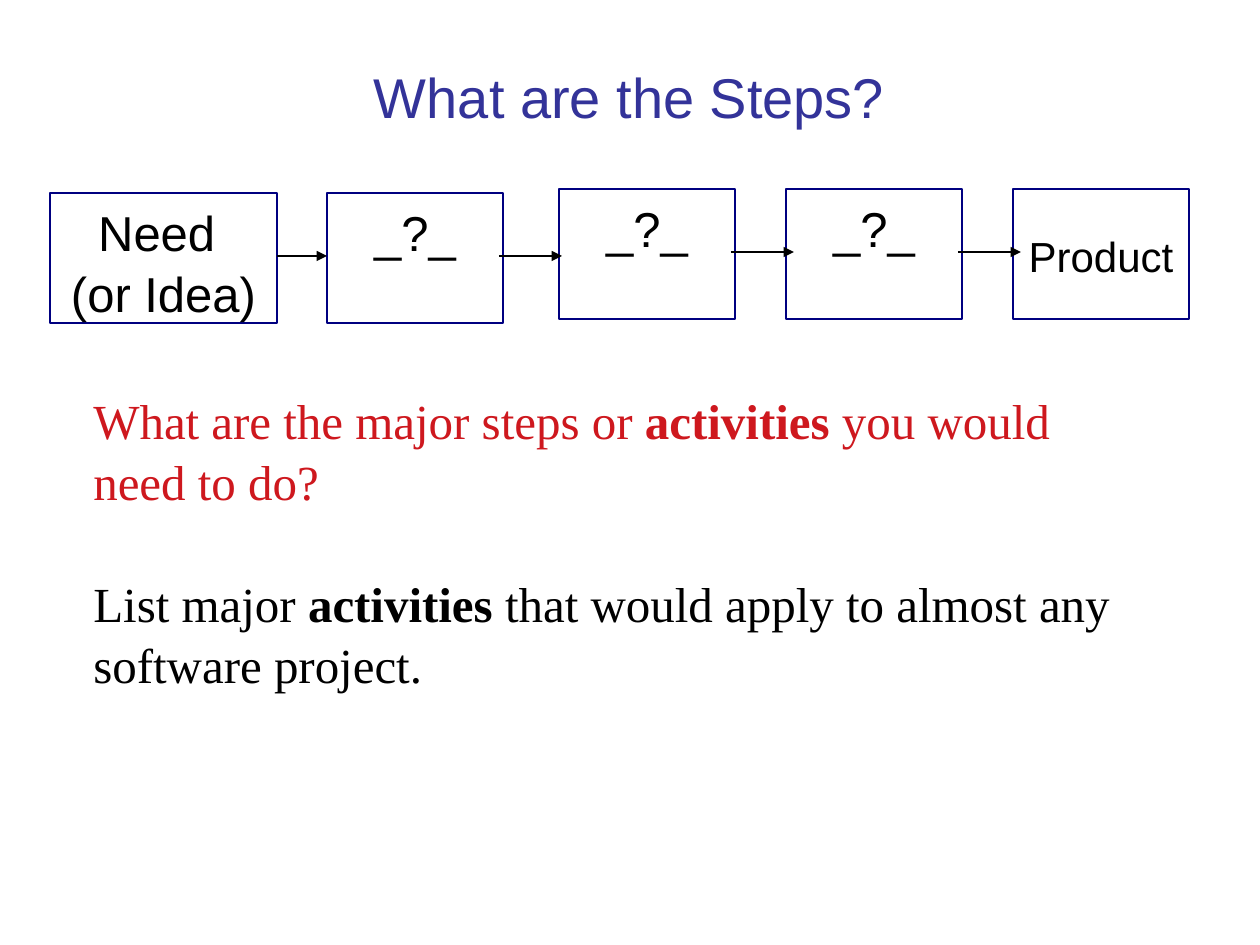
from lxml.etree import SubElement
from pptx import Presentation
from pptx.dml.color import RGBColor
from pptx.enum.shapes import MSO_CONNECTOR as Line, MSO_SHAPE as Preset
from pptx.enum.text import MSO_ANCHOR as Anchor, PP_ALIGN as Align
from pptx.oxml.ns import qn
from pptx.util import Emu, Pt

COLORS = {"title": "333399", "outline": "000080", "text": "000000", "question": "CE181E"}
STEP_HEIGHT = 130
LINE_SPACING = 1.05


def px(length):
    return Emu(round(length * 914400 / 126))


def color(name):
    return RGBColor.from_string(COLORS[name])


def set_values(target, values):
    for name, value in values.items():
        setattr(target, name, value)


def write(frame, paragraphs, font, size, align=Align.LEFT, anchor=Anchor.TOP, gap=0):
    set_values(frame, {"word_wrap": True, "vertical_anchor": anchor})
    for index, (ink, pieces) in enumerate(paragraphs):
        paragraph = frame.add_paragraph() if index else frame.paragraphs[0]
        set_values(paragraph, {"alignment": align, "line_spacing": LINE_SPACING})
        if index:
            paragraph.space_before = Pt(gap)
        for position, piece in enumerate(pieces):
            for part, words in enumerate(piece.split("\n")):
                if part:
                    paragraph.add_line_break()
                run = paragraph.add_run()
                run.text = words
                set_values(run.font, {"name": font, "size": Pt(size), "bold": position % 2 == 1})
                run.font.color.rgb = color(ink)


def add_text(slide, left, top, width, height, paragraphs, font, size, **layout):
    box = slide.shapes.add_textbox(px(left), px(top), px(width), px(height))
    write(box.text_frame, paragraphs, font, size, **layout)


def add_step(slide, left, top, width, label, size, anchor):
    step = slide.shapes.add_shape(Preset.RECTANGLE, px(left), px(top), px(width), px(STEP_HEIGHT))
    step.shadow.inherit = False
    step.fill.background()
    step.line.color.rgb = color("outline")
    step.line.width = Pt(0.75)
    write(step.text_frame, [("text", [label])], "Arial", size, Align.CENTER, anchor)


def add_arrow(slide, start, end, y):
    arrow = slide.shapes.add_connector(Line.STRAIGHT, px(start), px(y), px(end), px(y))
    arrow.line.color.rgb = color("text")
    arrow.line.width = Pt(0.75)
    SubElement(arrow.line._get_or_add_ln(), qn("a:tailEnd"), type="triangle")
    SubElement(arrow._element.spPr, qn("a:effectLst"))


def main():
    deck = Presentation()
    set_values(deck, {"slide_width": px(1260), "slide_height": px(945)})
    slide = deck.slides.add_slide(deck.slide_layouts[6])

    add_text(slide, 84, 35, 1091, 118, [("title", ["What are the Steps?"])],
             "Arial", 32, align=Align.CENTER, anchor=Anchor.MIDDLE)

    steps = [
        (50, 193, 227, "Need \n(or Idea)", 28, Anchor.TOP),
        (327, 193, 176, "_?_", 28, Anchor.TOP),
        (559, 189, 176, "_?_", 28, Anchor.TOP),
        (786, 189, 176, "_?_", 28, Anchor.TOP),
        (1013, 189, 176, "Product", 24, Anchor.MIDDLE),
    ]
    for step in steps:
        add_step(slide, *step)

    add_arrow(slide, 277, 327, 256)
    for left, top, width, *_ in steps[1:-1]:
        start = left + width - 4
        add_arrow(slide, start, start + 63, top + 63)

    add_text(slide, 81, 381, 1084, 248, [
        ("question", ["What are the major steps or ", "activities", " you would need to do?"]),
        ("text", ["List major ", "activities",
                  " that would apply to almost any software project."]),
    ], "Times New Roman", 28, gap=34)

    deck.save("out.pptx")


if __name__ == "__main__":
    main()
